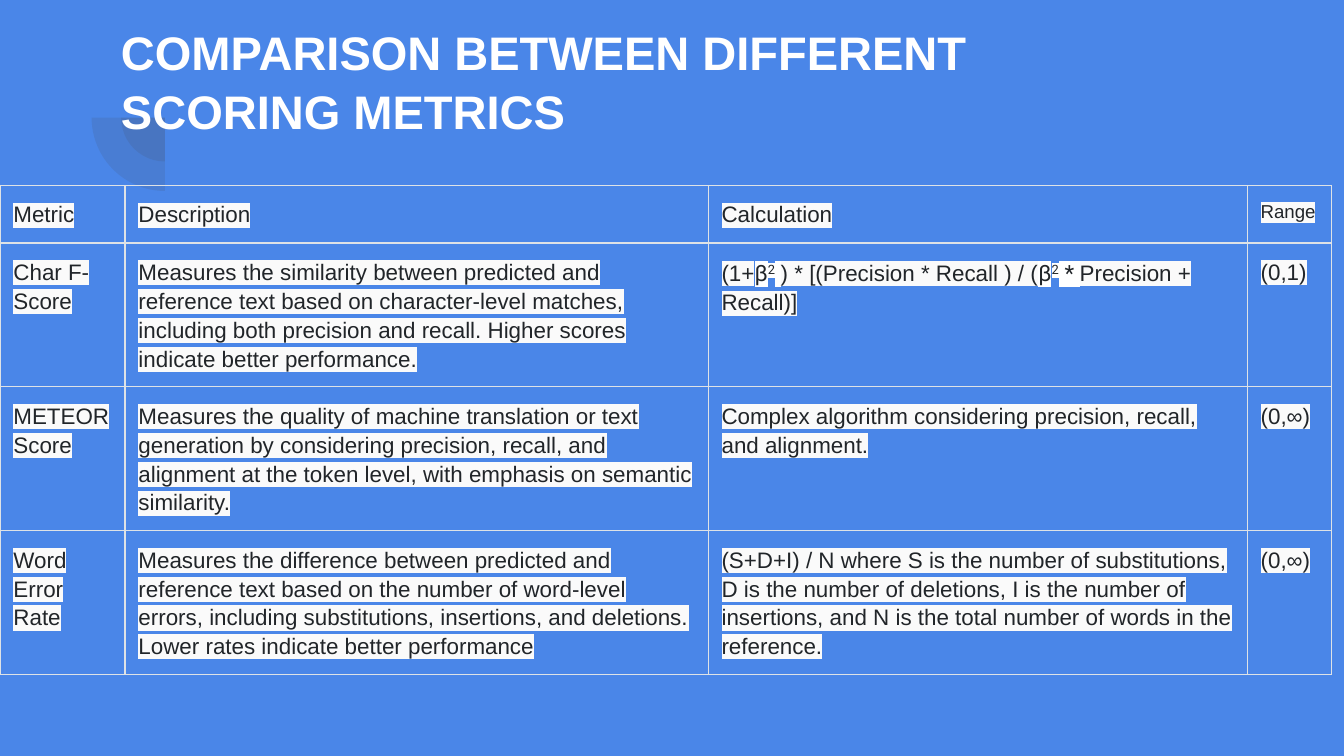
from lxml import etree
from pptx import Presentation
from pptx.dml.color import RGBColor
from pptx.enum.shapes import MSO_SHAPE
from pptx.enum.text import MSO_ANCHOR, MSO_AUTO_SIZE, PP_ALIGN
from pptx.oxml.ns import qn
from pptx.util import Pt

PIE = MSO_SHAPE.PIE
TOP, LEFT, NO_FIT = MSO_ANCHOR.TOP, PP_ALIGN.LEFT, MSO_AUTO_SIZE.NONE

THEME = {
    "background": "4A86E8", "title": "FFFFFF", "text": "212529",
    "highlight": "FAFAFA", "symbol_highlight": "FFFFFF",
    "border": "DEE2E6", "ornament": "424242",
    "font": "Arial", "symbol_font": "Roboto",
    "title_size": 25.2, "body_size": 12, "small_size": 10,
}
INSET = Pt(7.2)

# Each piece of the formula: text, is a symbol, is superscript
F_SCORE = [("(1+", False, False), ("β", True, False), ("2", True, True),
           (" ", True, False), (") * [(Precision * Recall ) / (", False, False),
           ("β", True, False), ("2", True, True), (" * ", True, False),
           ("Precision + Recall)]", False, False)]
ROWS = [
    ["Metric", "Description", "Calculation", "Range"],
    ["Char F-Score",
     "Measures the similarity between predicted and reference text based on "
     "character-level matches, including both precision and recall. Higher "
     "scores indicate better performance.",
     F_SCORE, "(0,1)"],
    ["METEOR Score",
     "Measures the quality of machine translation or text generation by "
     "considering precision, recall, and alignment at the token level, with "
     "emphasis on semantic similarity.",
     "Complex algorithm considering precision, recall, and alignment.", "(0,∞)"],
    ["Word Error Rate",
     "Measures the difference between predicted and reference text based on "
     "the number of word-level errors, including substitutions, insertions, "
     "and deletions. Lower rates indicate better performance",
     "(S+D+I) / N where S is the number of substitutions, D is the number of "
     "deletions, I is the number of insertions, and N is the total number of "
     "words in the reference.", "(0,∞)"],
]
COLUMN_WIDTHS = [67, 312.4, 288.8, 45.2]
ROW_HEIGHTS = [31, 77, 77, 77]


def add_run(p, text, size, symbol=False, superscript=False):
    r = p.add_run()
    r.text = text
    r.font.size = Pt(size)
    r.font.color.rgb = RGBColor.from_string(THEME["text"])
    r.font.name = THEME["symbol_font" if symbol else "font"]
    rPr = r.font._element
    if superscript:
        rPr.set("baseline", "30000")
    highlight = etree.Element(qn("a:highlight"))
    color = THEME["symbol_highlight" if symbol else "highlight"]
    etree.SubElement(highlight, qn("a:srgbClr"), val=color)
    rPr.find(qn("a:latin")).addprevious(highlight)


def set_borders(cell, is_header, below_header):
    tcPr = cell._tc.get_or_add_tcPr()
    for i, side in enumerate(("lnL", "lnR", "lnT", "lnB")):
        heavy = (is_header and side == "lnB") or (below_header and side == "lnT")
        ln = etree.Element(qn("a:" + side), w=str(Pt(1.5 if heavy else 0.75)))
        fill = etree.SubElement(ln, qn("a:solidFill"))
        etree.SubElement(fill, qn("a:srgbClr"), val=THEME["border"])
        tcPr.insert(i, ln)


prs = Presentation()
prs.slide_width, prs.slide_height = Pt(720), Pt(405)
s = prs.slides.add_slide(prs.slide_layouts[5])
s.background.fill.solid()
s.background.fill.fore_color.rgb = RGBColor.from_string(THEME["background"])

# Translucent quarter circles around one centre, behind the title
for diameter in (47, 78.6):
    sp = s.shapes.add_shape(PIE, Pt(88.4 - diameter / 2), Pt(63 - diameter / 2),
                            Pt(diameter), Pt(diameter))
    sp.adjustments[0], sp.adjustments[1] = 108, 162
    sp.rotation = 270
    sp.shadow.inherit = False
    sp.line.fill.background()
    sp.fill.solid()
    sp.fill.fore_color.rgb = RGBColor.from_string(THEME["ornament"])
    color = sp._element.spPr.find(qn("a:solidFill"))[0]
    etree.SubElement(color, qn("a:alpha"), val="12000")

# Title
title = s.shapes.title
s.shapes._spTree.append(title._element)
title.left, title.top, title.width, title.height = Pt(57.6), Pt(3.6), Pt(553.7), Pt(78.5)
tf = title.text_frame
tf.word_wrap, tf.auto_size, tf.vertical_anchor = True, NO_FIT, TOP
tf.margin_left = tf.margin_right = tf.margin_top = tf.margin_bottom = INSET
p = tf.paragraphs[0]
p.alignment, p.line_spacing = LEFT, 1.05
r = p.add_run()
r.text = "COMPARISON BETWEEN DIFFERENT SCORING METRICS"
r.font.name, r.font.size, r.font.bold = THEME["font"], Pt(THEME["title_size"]), True
r.font.color.rgb = RGBColor.from_string(THEME["title"])

# Table of metrics
table = s.shapes.add_table(len(ROWS), len(COLUMN_WIDTHS), Pt(0), Pt(99.3),
                           Pt(sum(COLUMN_WIDTHS)), Pt(sum(ROW_HEIGHTS))).table
table.first_row = table.horz_banding = False
for column, width in zip(table.columns, COLUMN_WIDTHS):
    column.width = Pt(width)
for row, height in zip(table.rows, ROW_HEIGHTS):
    row.height = Pt(height)

for i, row in enumerate(ROWS):
    for j, content in enumerate(row):
        cell = table.cell(i, j)
        cell.fill.background()
        cell.margin_left = cell.margin_right = INSET
        cell.margin_top = cell.margin_bottom = INSET
        set_borders(cell, i == 0, i == 1)
        p = cell.text_frame.paragraphs[0]
        p.line_spacing = 1.15
        size = THEME["small_size" if content == "Range" else "body_size"]
        pieces = [(content, False, False)] if isinstance(content, str) else content
        for text, symbol, superscript in pieces:
            add_run(p, text, size, symbol, superscript)

prs.save("out.pptx")
